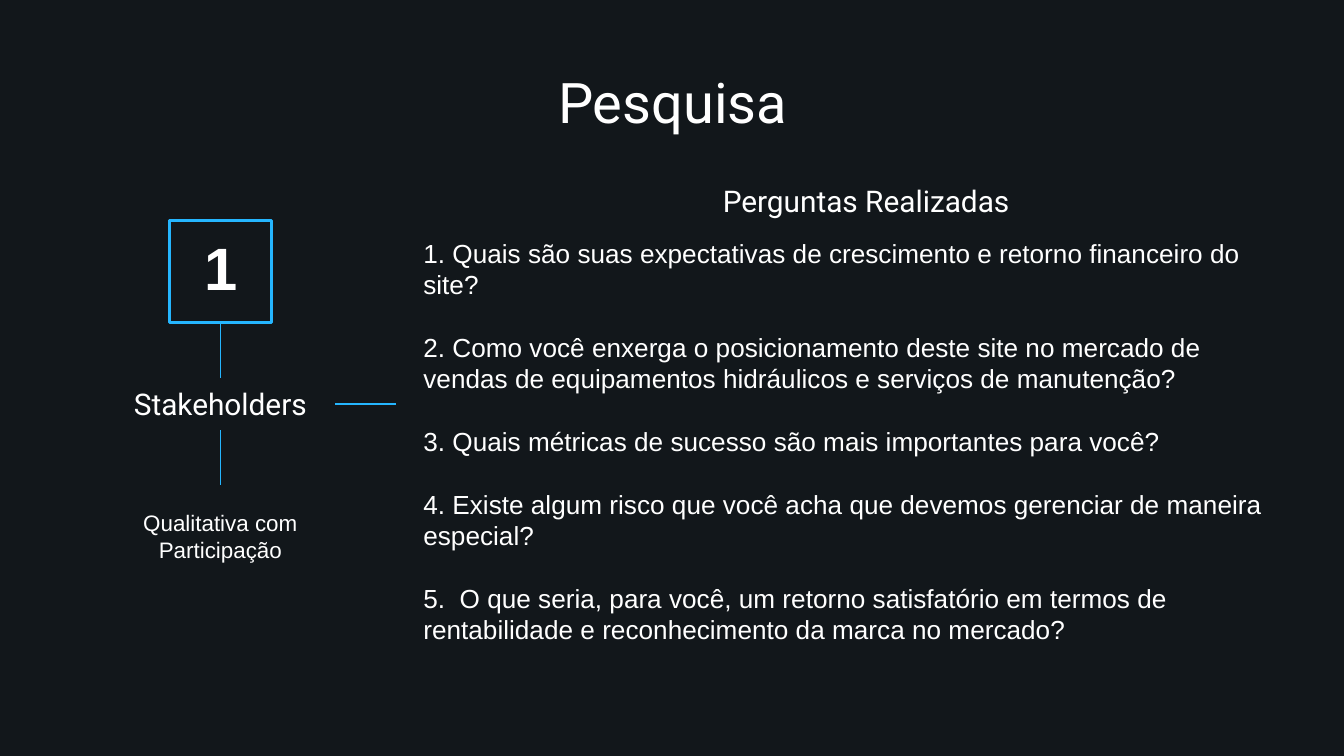
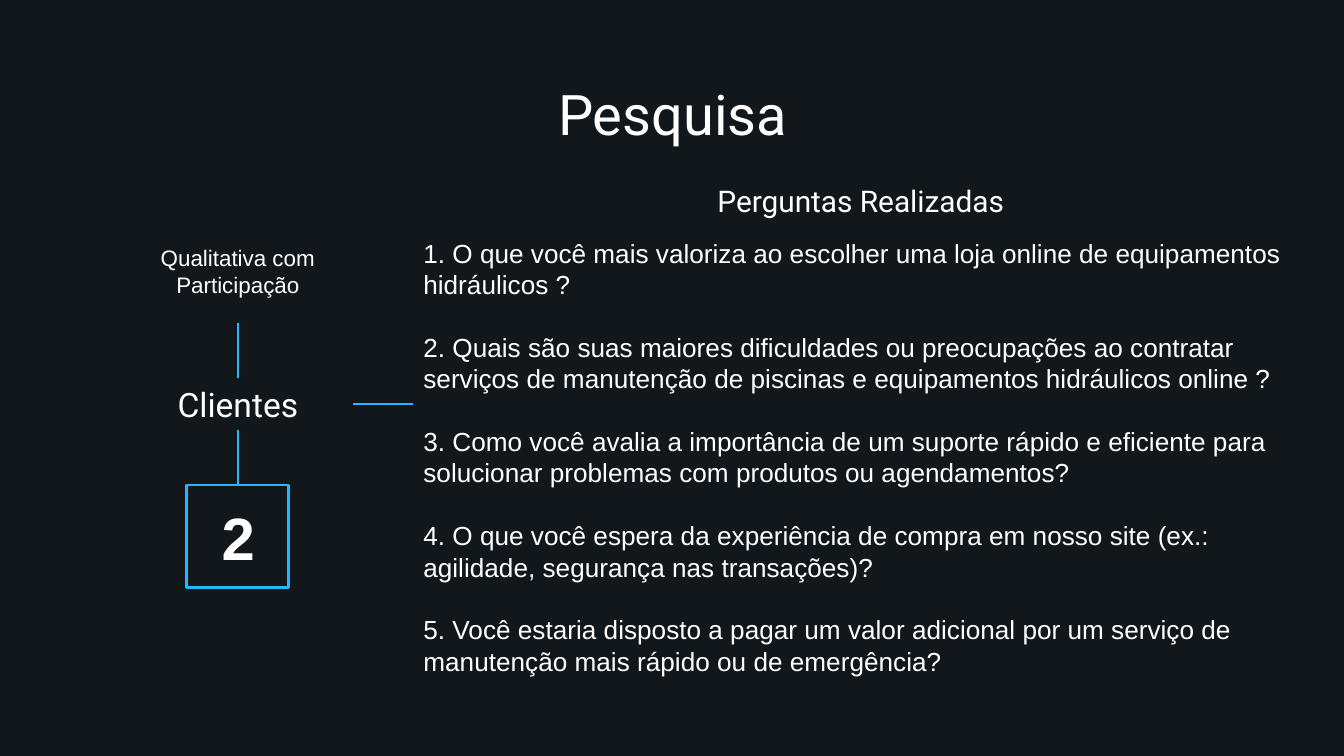
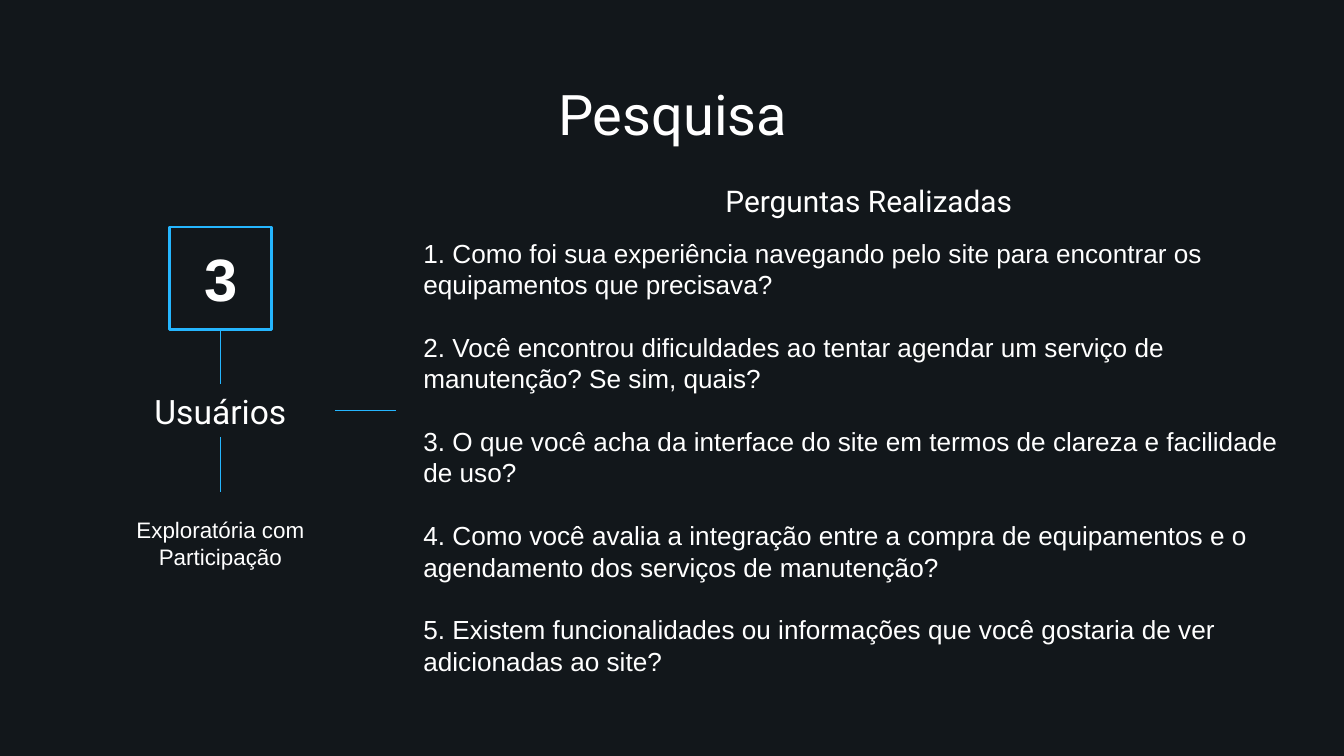
from pptx import Presentation
from pptx.dml.color import RGBColor
from pptx.enum.shapes import MSO_CONNECTOR, MSO_SHAPE
from pptx.enum.text import MSO_ANCHOR as ANCHOR, MSO_AUTO_SIZE as AUTO, PP_ALIGN as ALIGN
from pptx.oxml.ns import qn
from pptx.util import Inches, Pt
from lxml import etree

COLORS = {"bg": "12171B", "accent": "25B6FF", "text": "FFFFFF"}
HEAD, BODY = "Roboto", "Arial"

# Stack on the left: end blocks, label and the gaps joining them
BLOCK, LABEL, GAP, STACK_W = 0.76, 0.39, 0.41, 1.71
LINE_PT = 16.8  # line pitch of the question list

SURVEYS = [
    dict(number="1", group="Stakeholders", group_size=16, method="Qualitativa com Participação",
         center=1.64, top=1.64, number_first=True, number_dy=0.03,
         title_top=0.4, heading_w=2.77, spare_lines=2,
         questions=[
             "1. Quais são suas expectativas de crescimento e retorno financeiro do site?",
             "2. Como você enxerga o posicionamento deste site no mercado de vendas de "
             "equipamentos hidráulicos e serviços de manutenção?",
             "3. Quais métricas de sucesso são mais importantes para você?",
             "4. Existe algum risco que você acha que devemos gerenciar de maneira especial?",
             "5.  O que seria, para você, um retorno satisfatório em termos de rentabilidade "
             "e reconhecimento da marca no mercado?"]),
    dict(number="2", group="Clientes", group_size=18, method="Qualitativa com Participação",
         center=1.77, top=1.64, number_first=False, number_dy=0.07,
         title_top=0.49, heading_w=2.69, spare_lines=1,
         questions=[
             "1. O que você mais valoriza ao escolher uma loja online de equipamentos hidráulicos ?",
             "2. Quais são suas maiores dificuldades ou preocupações ao contratar serviços de "
             "manutenção de piscinas e equipamentos hidráulicos online ?",
             "3. Como você avalia a importância de um suporte rápido e eficiente para solucionar "
             "problemas com produtos ou agendamentos?",
             "4. O que você espera da experiência de compra em nosso site (ex.: agilidade, "
             "segurança nas transações)?",
             "5. Você estaria disposto a pagar um valor adicional por um serviço de manutenção "
             "mais rápido ou de emergência?"]),
    dict(number="3", group="Usuários", group_size=18, method="Exploratória com Participação",
         center=1.64, top=1.69, number_first=True, number_dy=0.06,
         title_top=0.49, heading_w=2.81, spare_lines=1,
         questions=[
             "1. Como foi sua experiência navegando pelo site para encontrar os equipamentos "
             "que precisava?",
             "2. Você encontrou dificuldades ao tentar agendar um serviço de manutenção? "
             "Se sim, quais?",
             "3. O que você acha da interface do site em termos de clareza e facilidade de uso?",
             "4. Como você avalia a integração entre a compra de equipamentos e o agendamento "
             "dos serviços de manutenção?",
             "5. Existem funcionalidades ou informações que você gostaria de ver adicionadas "
             "ao site?"]),
]


def rgb(name):
    return RGBColor.from_string(COLORS[name])


class Deck:
    """Holds the shared style and the current slide."""

    def __init__(self):
        self.prs = Presentation()
        # 16:9 page
        self.prs.slide_width, self.prs.slide_height = Inches(10), Inches(10 * 9 / 16)
        fill = self.prs.slide_master.background.fill
        fill.solid()
        fill.fore_color.rgb = rgb("bg")

    def new_slide(self):
        self.s = self.prs.slides.add_slide(self.prs.slide_layouts[1])

    def place(self, sp, x, y, w, h):
        sp.left, sp.top, sp.width, sp.height = map(Inches, (x, y, w, h))

    def frame(self, tf, anchor, bottom=0.1):
        tf.word_wrap, tf.auto_size, tf.vertical_anchor = True, AUTO.NONE, anchor
        tf.margin_left = tf.margin_right = tf.margin_top = Inches(0.1)
        tf.margin_bottom = Inches(bottom)

    def style(self, p, size, font, align=ALIGN.CENTER, bold=False):
        p.alignment = align
        for r in p.runs:
            r.font.size, r.font.name, r.font.bold = Pt(size), font, bold
            r.font.color.rgb = rgb("text")

    def title(self, text, y):
        sp = self.s.shapes.title
        self.place(sp, 0.79, y, 8.43, 0.63)
        sp.text_frame.text = text
        self.frame(sp.text_frame, ANCHOR.TOP)
        self.style(sp.text_frame.paragraphs[0], 30, HEAD)

    def text(self, text, x, y, w, h, size, font):
        tf = self.s.shapes.add_textbox(*map(Inches, (x, y, w, h))).text_frame
        tf.text = text
        self.frame(tf, ANCHOR.MIDDLE)
        self.style(tf.paragraphs[0], size, font)

    def line(self, x1, y1, x2, y2):
        c = self.s.shapes.add_connector(MSO_CONNECTOR.STRAIGHT, *map(Inches, (x1, y1, x2, y2)))
        c.line.color.rgb, c.line.width = rgb("accent"), Pt(0.75)
        etree.SubElement(c._element.spPr, qn("a:effectLst"))

    def number_box(self, number, center, y, dy):
        sp = self.s.shapes.add_shape(
            MSO_SHAPE.RECTANGLE, *map(Inches, (center - BLOCK / 2, y, BLOCK, BLOCK)))
        sp.shadow.inherit = False
        sp.fill.background()
        sp.line.color.rgb, sp.line.width = rgb("accent"), Pt(1.5)
        tf = self.s.shapes.add_textbox(
            *map(Inches, (center - 0.22, y + dy, 0.45, 0.64))).text_frame
        tf.text = number
        tf.word_wrap, tf.auto_size = False, AUTO.SHAPE_TO_FIT_TEXT
        self.style(tf.paragraphs[0], 32, BODY, ALIGN.LEFT, True)

    def questions(self, items, spare_lines):
        sp = self.s.placeholders[1]
        self.place(sp, 3.05, 2.02, 6.61, 2.99)
        tf = sp.text_frame
        # Room kept below the list lifts the centred text
        self.frame(tf, ANCHOR.MIDDLE, 0.1 + spare_lines * LINE_PT / 72)
        for i, item in enumerate(items):
            p = tf.add_paragraph() if i else tf.paragraphs[0]
            p.text = item
            self.style(p, 14, BODY, ALIGN.LEFT)
            p.line_spacing = Pt(LINE_PT)
            p.space_before = Pt(LINE_PT if i else 0)
            p.space_after = Pt(0)
            pPr = p._p.get_or_add_pPr()
            pPr.set("marL", "0")
            pPr.set("indent", "0")
            etree.SubElement(pPr, qn("a:buNone"))

    def stack(self, v):
        center, top = v["center"], v["top"]
        left = center - STACK_W / 2
        label_y = top + BLOCK + GAP
        last_y = label_y + LABEL + GAP
        number_y, method_y = (top, last_y) if v["number_first"] else (last_y, top)
        self.number_box(v["number"], center, number_y, v["number_dy"])
        self.text(v["group"], left, label_y, STACK_W, LABEL, v["group_size"], HEAD)
        self.text(v["method"], left, method_y, STACK_W, BLOCK, 12, BODY)
        for y in (top + BLOCK, label_y + LABEL):
            self.line(center, y, center, y + GAP)
        right, mid = left + STACK_W, label_y + LABEL / 2
        self.line(right, mid, right + 0.45, mid)


def main():
    deck = Deck()
    for v in SURVEYS:
        deck.new_slide()
        deck.title("Pesquisa", v["title_top"])
        deck.stack(v)
        deck.text("Perguntas Realizadas", 5.06, 1.3, v["heading_w"], 0.39, 16, HEAD)
        deck.questions(v["questions"], v["spare_lines"])
    deck.prs.save("out.pptx")


if __name__ == "__main__":
    main()
